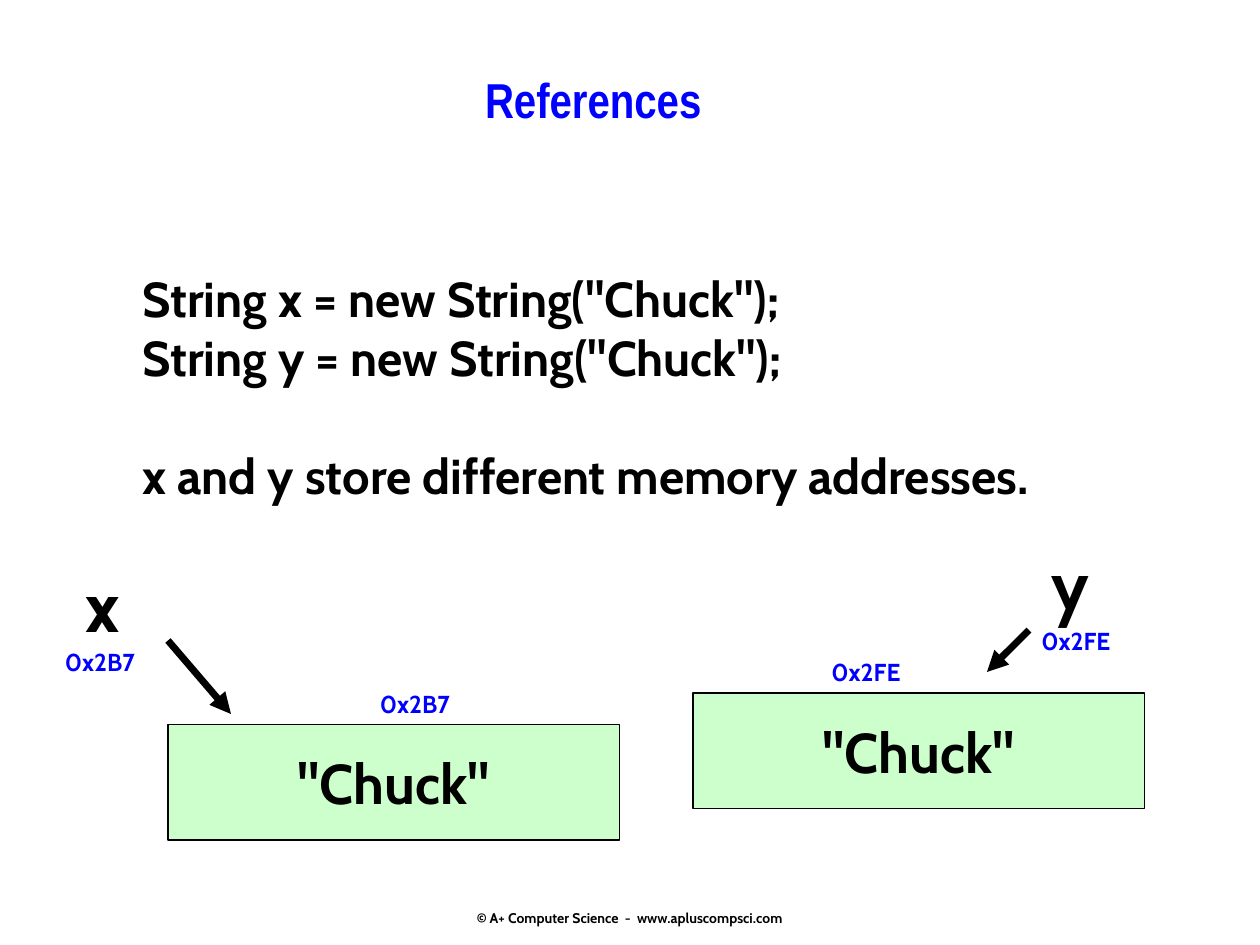
from lxml.etree import SubElement
from pptx import Presentation
from pptx.dml.color import RGBColor
from pptx.enum.shapes import MSO_CONNECTOR, MSO_SHAPE
from pptx.enum.text import MSO_ANCHOR, MSO_AUTO_SIZE, PP_ALIGN
from pptx.oxml.ns import qn
from pptx.util import Inches, Pt

# The slide is a grid of 120 columns by 90 rows, twelve to the inch
COLUMNS, ROWS = 120, 90
BLACK, BLUE, GREEN = "000000", "0000FF", "CCFFCC"
BODY_FONT, TITLE_FONT = "Cabin", "Arial Narrow"


def grid(units):
    return Inches(units / 12)


def color(hex_code):
    return RGBColor.from_string(hex_code)


def add_run(paragraph, text, size, hex_code=BLACK, font=BODY_FONT):
    run = paragraph.add_run()
    run.text = text
    run.font.name = font
    run.font.size = Pt(size)
    run.font.bold = True
    run.font.color.rgb = color(hex_code)


def set_title(slide, text):
    title = slide.shapes.title
    title.left, title.top, title.width, title.height = map(grid, (14, 6, 85, 10))
    frame = title.text_frame
    frame.auto_size = MSO_AUTO_SIZE.NONE
    frame.vertical_anchor = MSO_ANCHOR.TOP
    paragraph = frame.paragraphs[0]
    paragraph.alignment = PP_ALIGN.CENTER
    add_run(paragraph, text, 28, BLUE, TITLE_FONT)


def add_text(slide, box, lines, size, hex_code=BLACK, wrap=False):
    frame = slide.shapes.add_textbox(*map(grid, box)).text_frame
    frame.word_wrap = wrap
    for number, line in enumerate(lines):
        paragraph = frame.add_paragraph() if number else frame.paragraphs[0]
        add_run(paragraph, line, size, hex_code)
    return frame


def add_address(slide, column, row, address):
    add_text(slide, (column, row, 11, 4), [address], 14, BLUE, wrap=True)


def add_object(slide, column, row, value):
    box = slide.shapes.add_shape(MSO_SHAPE.RECTANGLE, *map(grid, (column, row, 43, 11)))
    box.shadow.inherit = False
    box.fill.solid()
    box.fill.fore_color.rgb = color(GREEN)
    box.line.color.rgb = color(BLACK)
    box.line.width = Pt(0.75)
    frame = box.text_frame
    frame.word_wrap = False
    frame.vertical_anchor = MSO_ANCHOR.MIDDLE
    frame.paragraphs[0].alignment = PP_ALIGN.CENTER
    add_run(frame.paragraphs[0], value, 32)


def add_arrow(slide, start, end):
    arrow = slide.shapes.add_connector(MSO_CONNECTOR.STRAIGHT, *map(grid, start + end))
    arrow.line.color.rgb = color(BLACK)
    arrow.line.width = Pt(4)
    SubElement(arrow.line._get_or_add_ln(), qn("a:tailEnd"), type="triangle")
    SubElement(arrow._element.spPr, qn("a:effectLst"))


def add_footer(slide, text):
    frame = add_text(slide, (41, 82.2, 38, 6), [text], 8)
    frame.vertical_anchor = MSO_ANCHOR.BOTTOM
    frame.margin_bottom = 0
    frame.paragraphs[0].alignment = PP_ALIGN.CENTER


def main():
    deck = Presentation()
    deck.slide_width, deck.slide_height = grid(COLUMNS), grid(ROWS)
    slide = deck.slides.add_slide(deck.slide_layouts[5])
    set_title(slide, "References")

    # Code, then its explanation one line lower
    code = add_text(slide, (12.4, 25, 101, 23.6), [
        'String x = new String("Chuck");',
        'String y = new String("Chuck");',
        "x and y store different memory addresses.",
    ], 28)
    code.paragraphs[-1].space_before = Pt(34)

    # Each variable: name and its place, its address, arrow, object, object's address
    references = [
        ("x", (7, 53), "0x2B7", (5, 61), (16, 61), (22, 68), (16, 69), (35, 65)),
        ("y", (99, 51), "0x2FE", (98, 59), (98, 60), (94, 64), (66, 66), (78, 62)),
    ]
    for name, name_at, address, stored_at, start, end, object_at, label_at in references:
        add_object(slide, *object_at, '"Chuck"')
        add_arrow(slide, start, end)
        add_text(slide, name_at + (6.2, 9.2), [name], 40)
        add_address(slide, *stored_at, address)
        add_address(slide, *label_at, address)

    add_footer(slide, "© A+ Computer Science  -  www.apluscompsci.com")
    deck.save("out.pptx")


if __name__ == "__main__":
    main()
